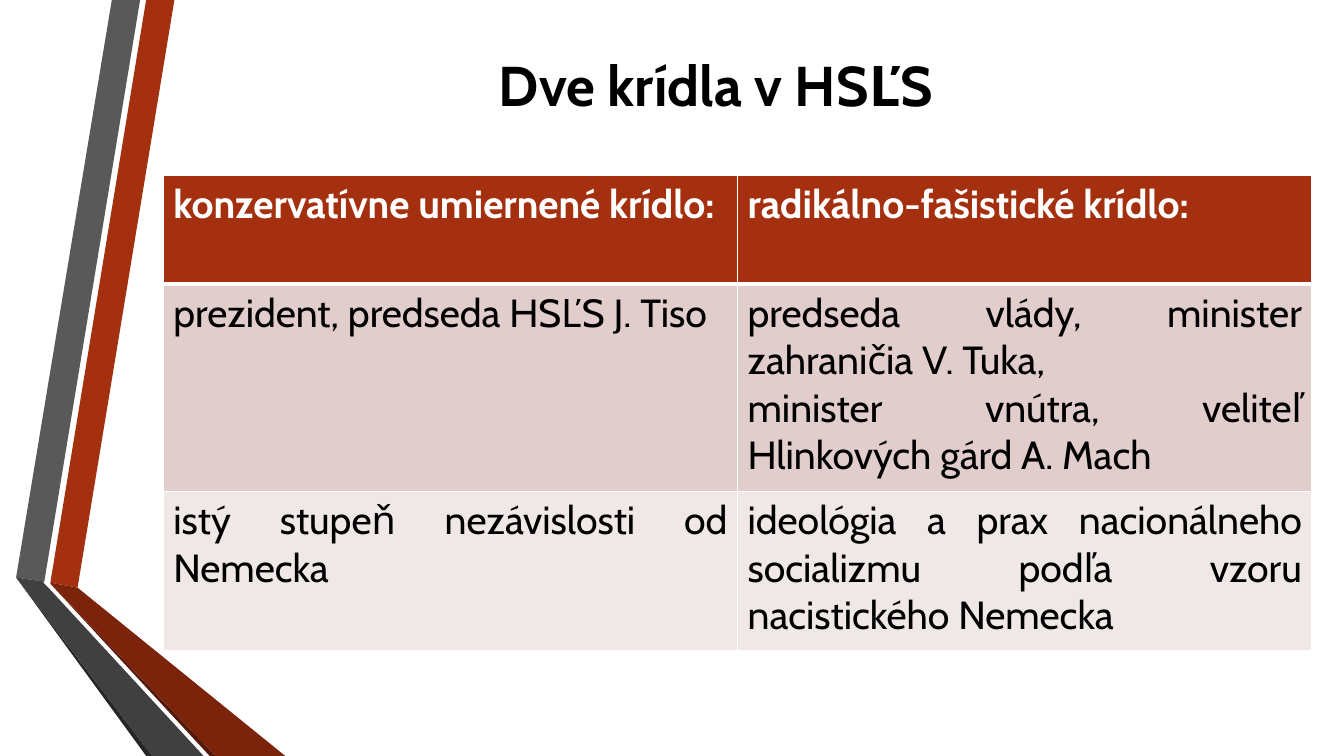
from lxml import etree
from pptx import Presentation
from pptx.dml.color import RGBColor
from pptx.enum import text
from pptx.oxml import ns
from pptx.util import Inches, Pt

TITLE = "Dve krídla v HSĽS"
# Rows of cells; each cell is a list of paragraphs
WINGS = [
    [["konzervatívne umiernené krídlo:"], ["radikálno-fašistické krídlo:"]],
    [["prezident, predseda HSĽS J. Tiso"],
     ["predseda vlády, minister zahraničia V. Tuka,",
      "minister vnútra, veliteľ Hlinkových gárd A. Mach"]],
    [["istý stupeň nezávislosti od Nemecka"],
     ["ideológia a prax nacionálneho socializmu podľa vzoru nacistického Nemecka"]],
]
ROW_HEIGHTS = [1.08, 2.06, 1.57]
TABLE_LEFT, TABLE_TOP, TABLE_WIDTH = 1.62, 1.74, 11.39

THEME = {
    "font": "Cabin", "title_size": 40, "table_size": 28,
    "ink": "000000", "white": "FFFFFF",
    "rows": ["A5300F", "E1CDCC", "F0E8E7"],
    "red": "A5300F", "red_dark": "7C240B", "red_edge": "521808",
    "grey": "595959", "grey_dark": "404040", "grey_edge": "262626",
}

# Folded ribbons: colour and outline, back to front
RIBBONS = [
    ("red", [(0.5, 5.78), (0.77, 5.83), (1.73, 0), (1.45, 0)]),
    ("grey", [(1.39, 0), (1.11, 0), (0.16, 5.73), (0.44, 5.77)]),
    ("grey_edge", [(0.16, 5.73), (1.45, 7.5), (1.51, 7.5)]),
    ("red_edge", [(0.5, 5.79), (2.08, 7.5), (2.14, 7.5)]),
    ("red_dark", [(0.5, 5.79), (2.14, 7.5), (2.83, 7.5), (0.77, 5.83), (0.5, 5.78)]),
    ("grey_dark", [(2.02, 7.5), (0.48, 5.83), (0.43, 5.78), (0.44, 5.77),
                   (0.16, 5.73), (1.51, 7.5)]),
]


def rgb(name):
    return RGBColor.from_string(THEME.get(name, name))


def write(frame, paragraphs, *, size, color="ink", bold=False, align=None):
    frame.word_wrap = True
    for index, words in enumerate(paragraphs):
        paragraph = frame.paragraphs[0] if index == 0 else frame.add_paragraph()
        paragraph.alignment = align
        run = paragraph.add_run()
        run.text = words
        run.font.name = THEME["font"]
        run.font.size = Pt(size)
        run.font.bold = bold
        run.font.color.rgb = rgb(color)


def add_ribbon(slide, color, outline):
    points = [(Inches(x), Inches(y)) for x, y in outline]
    builder = slide.shapes.build_freeform(*points[0], scale=1.0)
    builder.add_line_segments(points[1:], close=True)
    ribbon = builder.convert_to_shape()
    ribbon.shadow.inherit = False
    ribbon.fill.solid()
    ribbon.fill.fore_color.rgb = rgb(color)
    ribbon.line.fill.background()


def set_borders(cell, **widths):
    properties = cell._tc.get_or_add_tcPr()
    for position, (side, width) in enumerate(widths.items()):
        line = etree.Element(ns.qn(f"a:ln{side}"), w=str(Pt(width)))
        fill = etree.SubElement(line, ns.qn("a:solidFill"))
        etree.SubElement(fill, ns.qn("a:srgbClr"), val=THEME["white"])
        properties.insert(position, line)


def add_wings_table(slide):
    columns = len(WINGS[0])
    table = slide.shapes.add_table(
        len(WINGS), columns, Inches(TABLE_LEFT), Inches(TABLE_TOP),
        Inches(TABLE_WIDTH), Inches(sum(ROW_HEIGHTS))).table
    for column in table.columns:
        column.width = Inches(TABLE_WIDTH / columns)
    for r, (row, height) in enumerate(zip(WINGS, ROW_HEIGHTS)):
        table.rows[r].height = Inches(height)
        header = r == 0
        for c, paragraphs in enumerate(row):
            cell = table.cell(r, c)
            cell.fill.solid()
            cell.fill.fore_color.rgb = rgb(THEME["rows"][r])
            set_borders(cell, L=1, R=1, T=3 if r == 1 else 1, B=3 if header else 1)
            write(cell.text_frame, paragraphs, size=THEME["table_size"],
                  color="white" if header else "ink", bold=header,
                  align=text.PP_ALIGN.JUSTIFY)


def main():
    deck = Presentation()
    deck.slide_width, deck.slide_height = Inches(13.33), Inches(7.5)
    slide = deck.slides.add_slide(deck.slide_layouts[6])

    # Ribbons on the left
    for color, outline in RIBBONS:
        add_ribbon(slide, color, outline)

    # Title
    title = slide.shapes.add_textbox(Inches(1.62), Inches(0.37), Inches(10.96), Inches(0.93))
    title.text_frame.vertical_anchor = text.MSO_ANCHOR.MIDDLE
    write(title.text_frame, [TITLE], size=THEME["title_size"], bold=True,
          align=text.PP_ALIGN.CENTER)

    # Comparison of the two wings
    add_wings_table(slide)
    deck.save("out.pptx")


if __name__ == "__main__":
    main()
